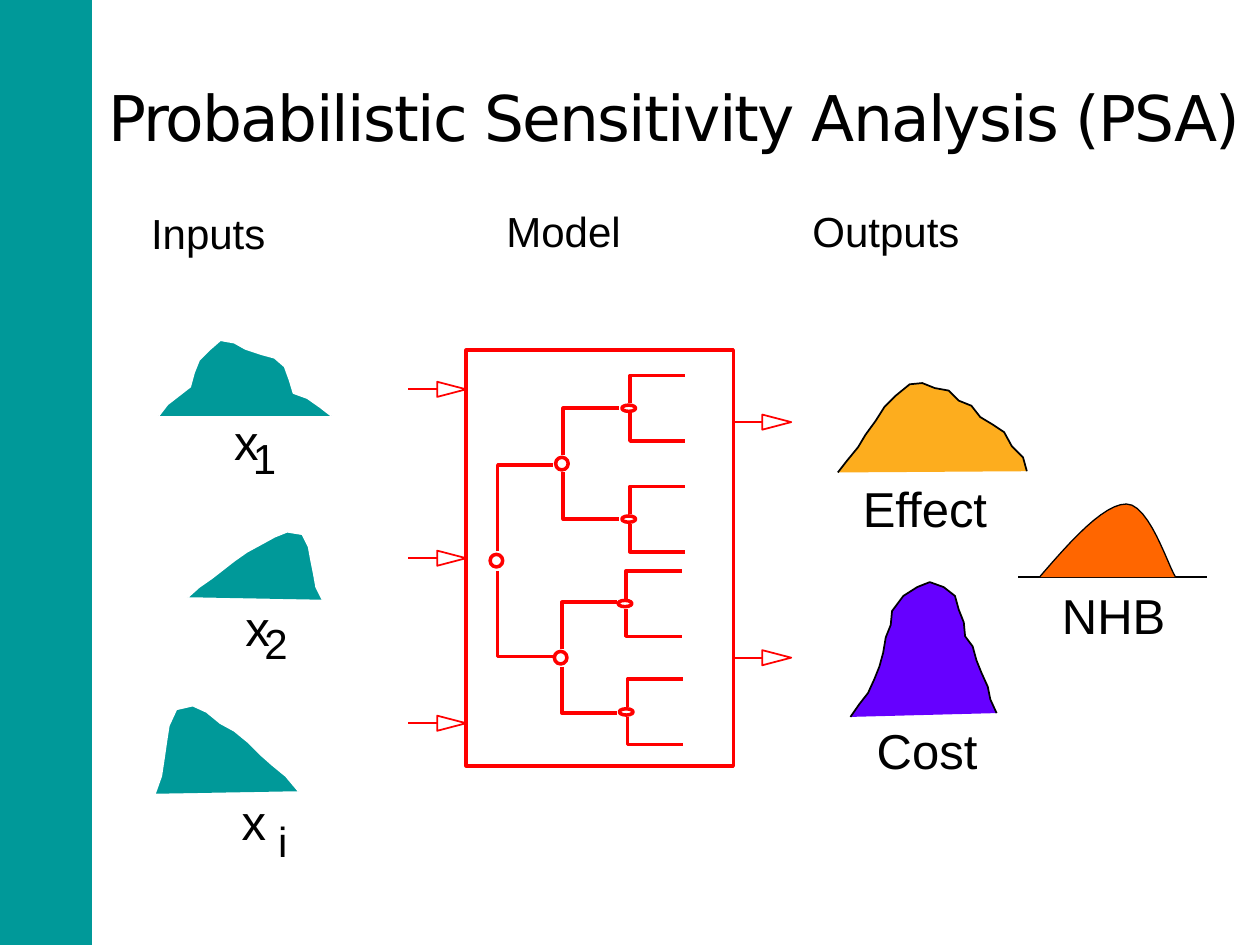
"""Build the probabilistic sensitivity analysis slide."""
from lxml import etree
from pptx import Presentation
from pptx.dml.color import RGBColor
from pptx.enum.shapes import MSO_CONNECTOR, MSO_SHAPE
from pptx.enum.text import MSO_ANCHOR, PP_ALIGN
from pptx.oxml.ns import qn
from pptx.util import Inches, Pt

RECT, OVAL = MSO_SHAPE.RECTANGLE, MSO_SHAPE.OVAL
STRAIGHT = MSO_CONNECTOR.STRAIGHT
MIDDLE, CENTER = MSO_ANCHOR.MIDDLE, PP_ALIGN.CENTER
TEAL = RGBColor(0x00, 0x99, 0x99)
RED = RGBColor(0xFF, 0x00, 0x00)
BLACK = RGBColor(0x00, 0x00, 0x00)
WHITE = RGBColor(0xFF, 0xFF, 0xFF)
AMBER = RGBColor(0xFD, 0xAD, 0x1E)
PURPLE = RGBColor(0x66, 0x00, 0xFF)
ORANGE = RGBColor(0xFF, 0x66, 0x00)

TITLE = "Probabilistic Sensitivity Analysis (PSA)"
LABELS = [
    ("Inputs", 1.1, 1.6, 1.89, 0.64, 24),
    ("Model", 3.92, 1.58, 1.89, 0.64, 24),
    ("Outputs", 6.35, 1.58, 2.34, 0.64, 24),
    ("x", 1.76, 3.22, 0.4, 0.57, 28),
    ("1", 1.91, 3.38, 0.43, 0.51, 24),
    ("x", 1.85, 4.69, 0.4, 0.57, 28),
    ("2", 2, 4.85, 0.43, 0.51, 24),
    ("x", 1.82, 6.23, 0.44, 0.57, 28),
    ("i", 2.11, 6.42, 0.28, 0.51, 24),
    ("Effect", 6.75, 3.75, 1.32, 0.57, 28),
    ("Cost", 6.86, 5.67, 1.11, 0.57, 28),
    ("NHB", 8.33, 4.6, 1.02, 0.57, 28),
]
INPUT_CURVES = [
    [(1.26, 3.3), (1.33, 3.21), (1.42, 3.14), (1.51, 3.07), (1.54, 2.96), (1.58, 2.86),
     (1.67, 2.77), (1.75, 2.7), (1.86, 2.72), (1.95, 2.77), (2.07, 2.81), (2.18, 2.84),
     (2.26, 2.91), (2.3, 3.02), (2.33, 3.12), (2.44, 3.16), (2.54, 3.23), (2.63, 3.3)],
    [(1.49, 4.74), (1.58, 4.66), (1.68, 4.59), (1.77, 4.52), (1.86, 4.45), (1.96, 4.38),
     (2.07, 4.32), (2.18, 4.26), (2.28, 4.22), (2.4, 4.24), (2.45, 4.34), (2.47, 4.45),
     (2.49, 4.55), (2.51, 4.66), (2.56, 4.76)],
    [(2.37, 6.28), (2.27, 6.16), (2.16, 6.07), (2.07, 5.99), (1.97, 5.89), (1.86, 5.8),
     (1.75, 5.74), (1.64, 5.65), (1.53, 5.6), (1.4, 5.63), (1.34, 5.76), (1.32, 5.89),
     (1.3, 6.03), (1.28, 6.16), (1.23, 6.3)],
]
COST_CURVE = [
    (6.75, 5.69), (6.82, 5.59), (6.89, 5.5), (6.94, 5.39), (6.98, 5.29), (7.01, 5.18),
    (7.03, 5.06), (7.07, 4.96), (7.08, 4.85), (7.17, 4.73), (7.28, 4.66), (7.38, 4.62),
    (7.49, 4.66), (7.58, 4.73), (7.61, 4.84), (7.65, 4.94), (7.66, 5.05), (7.72, 5.13),
    (7.75, 5.24), (7.79, 5.34), (7.84, 5.45), (7.86, 5.55), (7.91, 5.66)]
EFFECT_CURVE = [
    (6.65, 3.75), (6.72, 3.66), (6.81, 3.55), (6.87, 3.45), (6.95, 3.34), (7.02, 3.23),
    (7.11, 3.14), (7.22, 3.05), (7.32, 3.04), (7.42, 3.08), (7.53, 3.1), (7.61, 3.18),
    (7.71, 3.22), (7.78, 3.31), (7.88, 3.37), (7.97, 3.43), (8.03, 3.54), (8.12, 3.63),
    (8.15, 3.74)]
NHB_BEZIERS = [
    [(8.25, 4.58), (8.5, 4.29), (8.76, 4), (8.94, 4)],
    [(8.94, 4), (9.12, 4), (9.27, 4.49), (9.33, 4.58)],
]
FRAME = (3.7, 2.78, 2.12, 3.3)
ARROWS = [(3.24, 3.09), (3.24, 4.43), (3.24, 5.74), (5.82, 3.35), (5.82, 5.22)]
ARROW_STEP, HEAD_HALF = 0.23, 0.06
BRANCH = 0.44
FORKS = [
    {"nodes": [(3.94, 4.45)], "size": (0.1, 0.1), "gap": 0.08, "half": 0.76},
    {"nodes": [(4.46, 3.68), (4.45, 5.22)], "size": (0.1, 0.1), "gap": 0.07, "half": 0.44},
    {"nodes": [(4.99, 3.24), (4.99, 4.12), (4.96, 4.79), (4.97, 5.65)],
     "size": (0.11, 0.05), "gap": 0.04, "half": 0.26},
]


def style(sp, fill, line, width=1):
    sp.shadow.inherit = False
    if fill is None:
        sp.fill.background()
    else:
        sp.fill.solid()
        sp.fill.fore_color.rgb = fill
    if line is None:
        sp.line.fill.background()
    else:
        sp.line.color.rgb = line
        sp.line.width = Pt(width)


def add_preset(slide, kind, box, fill, line, width=1):
    sp = slide.shapes.add_shape(kind, *map(Inches, box))
    style(sp, fill, line, width)


def add_outline(slide, points, fill, line, width=1, close=False):
    start, *rest = [(Inches(x), Inches(y)) for x, y in points]
    builder = slide.shapes.build_freeform(*start, scale=1.0)
    builder.add_line_segments(rest, close=close)
    style(builder.convert_to_shape(), fill, line, width)


def add_line(slide, x1, x2, y, color, width):
    s = slide.shapes.add_connector(STRAIGHT, *map(Inches, (x1, y, x2, y)))
    s.line.color.rgb = color
    s.line.width = Pt(width)
    etree.SubElement(s._element.spPr, qn("a:effectLst"))


def add_text(slide, text, box, size, font="Arial", wrap=False):
    tf = slide.shapes.add_textbox(*map(Inches, box)).text_frame
    tf.word_wrap = wrap
    tf.text = text
    r = tf.paragraphs[0].runs[0]
    r.font.size = Pt(size)
    r.font.name = font
    r.font.color.rgb = BLACK
    return tf


def bezier(controls, steps=12):
    points = []
    for i in range(steps + 1):
        t = i / steps
        weights = ((1 - t) ** 3, 3 * t * (1 - t) ** 2, 3 * t * t * (1 - t), t ** 3)
        points.append(tuple(sum(w * c[k] for w, c in zip(weights, controls)) for k in (0, 1)))
    return points


def add_arrow(slide, x, y):
    base, tip = x + ARROW_STEP, x + 2 * ARROW_STEP
    add_line(slide, x, base, y, RED, 1)
    head = [(tip, y), (base, y - HEAD_HALF), (base, y + HEAD_HALF)]
    add_outline(slide, head, WHITE, RED, close=True)


def add_fork(slide, node, size, gap, half):
    x, y = node
    w, h = size
    add_preset(slide, OVAL, (x - w / 2, y - h / 2, w, h), None, RED, 2)
    stem = x + 0.01
    for side in (-1, 1):
        end = y + side * half
        add_outline(slide, [(stem, y + side * gap), (stem, end), (stem + BRANCH, end)],
                    None, RED, 2)


def main():
    prs = Presentation()
    prs.slide_width, prs.slide_height = Inches(10), Inches(7.5)
    slide = prs.slides.add_slide(prs.slide_layouts[6])
    add_preset(slide, RECT, (0, 0, 0.73, 7.5), TEAL, None)

    tf = add_text(slide, TITLE, (0.7, 0.3, 9.3, 1.25), 36, "DejaVu Sans", True)
    tf.vertical_anchor = MIDDLE
    p = tf.paragraphs[0]
    p.alignment = CENTER
    p.runs[0].font._element.set("spc", "-100")

    for curve in INPUT_CURVES:
        add_outline(slide, curve, TEAL, WHITE)
    add_preset(slide, RECT, FRAME, None, RED, 2)
    for x, y in ARROWS:
        add_arrow(slide, x, y)
    for level in FORKS:
        for node in level["nodes"]:
            add_fork(slide, node, level["size"], level["gap"], level["half"])

    add_outline(slide, COST_CURVE, PURPLE, BLACK)
    add_outline(slide, EFFECT_CURVE, AMBER, BLACK)
    add_line(slide, 8.08, 9.58, 4.58, BLACK, 0.75)
    rise, fall = map(bezier, NHB_BEZIERS)
    add_outline(slide, rise + fall[1:], ORANGE, BLACK, 0.75)
    for text, x, y, w, h, size in LABELS:
        add_text(slide, text, (x, y, w, h), size)
    prs.save("out.pptx")


if __name__ == "__main__":
    main()
